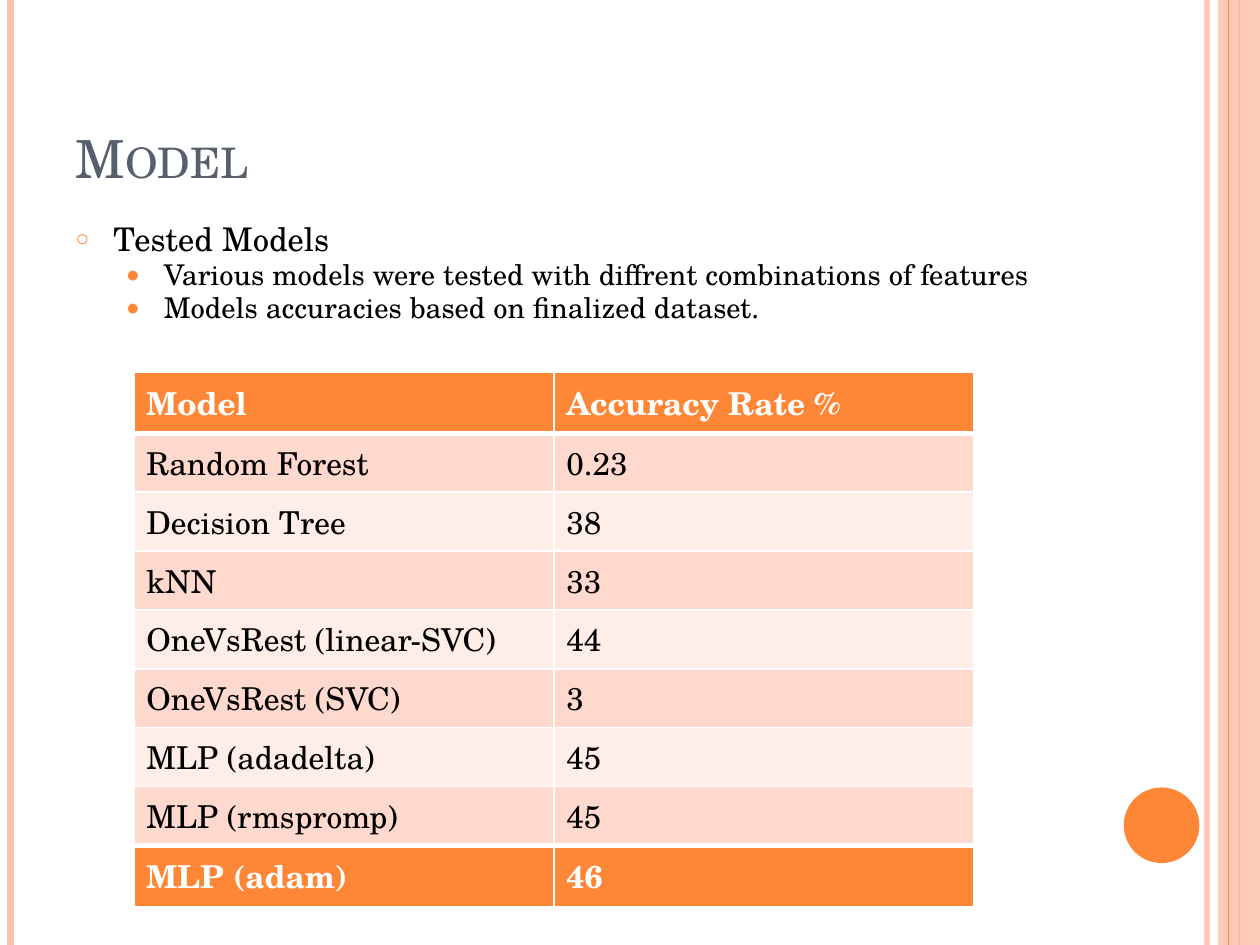
import pptx
import pptx.dml.color
import pptx.enum.shapes
import pptx.enum.text
import pptx.oxml
import pptx.oxml.ns
import pptx.util
from lxml import etree

Pt = pptx.util.Pt
RGBColor = pptx.dml.color.RGBColor
qn = pptx.oxml.ns.qn
Shapes = pptx.enum.shapes.MSO_SHAPE
Anchor = pptx.enum.text.MSO_ANCHOR

ORANGE = RGBColor(0xFE, 0x86, 0x37)
PEACH = RGBColor(0xFE, 0xC3, 0xAE)
BAND_DARK = RGBColor(0xFF, 0xD9, 0xCE)
BAND_LIGHT = RGBColor(0xFF, 0xED, 0xE8)
SLATE = RGBColor(0x57, 0x5F, 0x6D)
BLACK = RGBColor(0, 0, 0)
WHITE = RGBColor(0xFF, 0xFF, 0xFF)

RESULTS = [
    ("Model", "Accuracy Rate %"),
    ("Random Forest", "0.23"),
    ("Decision Tree", "38"),
    ("kNN", "33"),
    ("OneVsRest (linear-SVC)", "44"),
    ("OneVsRest (SVC)", "3"),
    ("MLP (adadelta)", "45"),
    ("MLP (rmspromp)", "45"),
    ("MLP (adam)", "46"),
]


def write(para, text, font, size, color, bold=False, small_caps=False):
    span = para.add_run()
    span.text = text
    span.font.name = font
    span.font.size = Pt(size)
    span.font.color.rgb = color
    span.font.bold = bold
    if small_caps:
        span.font._element.set("cap", "small")


def set_alpha(properties, percent):
    """Make the solid colour inside a shape's or line's properties translucent."""
    color = properties.find(".//" + qn("a:srgbClr"))
    etree.SubElement(color, qn("a:alpha")).set("val", str(percent * 1000))


def set_bullet(para, char, percent, color, left, hanging):
    properties = para._p.get_or_add_pPr()
    properties.set("marL", str(Pt(left)))
    properties.set("indent", str(-Pt(hanging)))
    bullet_color = etree.SubElement(properties, qn("a:buClr"))
    etree.SubElement(bullet_color, qn("a:srgbClr")).set("val", str(color))
    etree.SubElement(properties, qn("a:buSzPct")).set("val", str(percent * 1000))
    etree.SubElement(properties, qn("a:buChar")).set("char", char)


def set_borders(cell, color, **widths):
    """Give the cell's edges (L, R, T, B) their widths in points."""
    properties = cell._tc.get_or_add_tcPr()
    for index, (edge, width) in enumerate(widths.items()):
        line = etree.Element(qn("a:ln" + edge), w=str(Pt(width)))
        fill = etree.SubElement(line, qn("a:solidFill"))
        etree.SubElement(fill, qn("a:srgbClr")).set("val", str(color))
        properties.insert(index, line)


class SlideBuilder:
    font = "TeX Gyre Schola"

    def __init__(self, deck):
        self.page = deck.slides.add_slide(deck.slide_layouts[1])
        self.height = deck.slide_height.pt

    def stripe(self, x, width, color, alpha=None):
        """Draw a vertical line over the full height of the slide."""
        line = self.page.shapes.add_connector(
            pptx.enum.shapes.MSO_CONNECTOR.STRAIGHT, Pt(x), 0, Pt(x), Pt(self.height))
        line.line.color.rgb = color
        line.line.width = Pt(width)
        properties = line._element.spPr
        if alpha:
            set_alpha(properties, alpha)
        etree.SubElement(properties, qn("a:effectLst"))

    def shape(self, kind, left, top, width, height, color, alpha=None):
        shape = self.page.shapes.add_shape(kind, Pt(left), Pt(top), Pt(width), Pt(height))
        shape.shadow.inherit = False
        shape.fill.solid()
        shape.fill.fore_color.rgb = color
        shape.line.fill.background()
        if alpha:
            set_alpha(shape._element.spPr, alpha)

    def place(self, box, left, top, width, height, anchor):
        box.left, box.top, box.width, box.height = Pt(left), Pt(top), Pt(width), Pt(height)
        frame = box.text_frame
        frame.word_wrap = True
        frame.auto_size = pptx.enum.text.MSO_AUTO_SIZE.NONE
        frame.vertical_anchor = anchor
        return frame

    def title(self, text, left, top, width, height):
        frame = self.place(self.page.shapes.title, left, top, width, height, Anchor.BOTTOM)
        para = frame.paragraphs[0]
        para.alignment = pptx.enum.text.PP_ALIGN.LEFT
        write(para, text, self.font, 30, SLATE, small_caps=True)

    def bullets(self, items, left, top, width, height):
        """Fill the body with (level, text) items."""
        frame = self.place(self.page.placeholders[1], left, top, width, height, Anchor.TOP)
        styles = [("○", 70, 21.6, 18.6, 6), ("●", 80, 50.4, 16.3, 3.3)]
        for index, (level, text) in enumerate(items):
            char, percent, indent, size, space = styles[level]
            para = frame.add_paragraph() if index else frame.paragraphs[0]
            para.level = level
            para.line_spacing = 0.8
            para.space_before = Pt(space)
            set_bullet(para, char, percent, ORANGE, indent, 21.6)
            write(para, text, self.font, size, BLACK)

    def table(self, rows, left, top, width, height):
        """Draw a banded table whose first and last rows are emphasised."""
        last = len(rows) - 1
        table = self.page.shapes.add_table(
            len(rows), len(rows[0]), Pt(left), Pt(top), Pt(width), Pt(height)).table
        for row, texts in enumerate(rows):
            strong = row in (0, last)
            band = BAND_DARK if row % 2 else BAND_LIGHT
            for column, text in enumerate(texts):
                cell = table.cell(row, column)
                set_borders(cell, WHITE, L=1, R=1,
                            T=3 if row in (1, last) else 1,
                            B=3 if row in (0, last - 1) else 1)
                cell.fill.solid()
                cell.fill.fore_color.rgb = ORANGE if strong else band
                write(cell.text_frame.paragraphs[0], text, self.font, 18,
                      WHITE if strong else BLACK, bold=strong)


def main():
    deck = pptx.Presentation()
    deck.slide_width, deck.slide_height = Pt(720), Pt(540)
    slide = SlideBuilder(deck)
    slide.stripe(689.8, 3, PEACH, alpha=93)
    slide.stripe(6, 4.5, PEACH)
    slide.stripe(708, 1.5, ORANGE)
    slide.shape(Shapes.RECTANGLE, 696, 0, 24, 540, PEACH, alpha=87)
    slide.stripe(702, 0.75, ORANGE)
    slide.shape(Shapes.OVAL, 642.2, 450, 43.2, 43.2, ORANGE)
    slide.title("Model", 36, 21.6, 588, 90)
    slide.bullets([
        (0, "Tested Models"),
        (1, "Various models were tested with diffrent combinations of features"),
        (1, "Models accuracies based on finalized dataset."),
    ], 36, 126, 588, 64.8)
    slide.table(RESULTS, 76.5, 212.5, 480, 262.8)
    deck.save("out.pptx")


if __name__ == "__main__":
    main()
